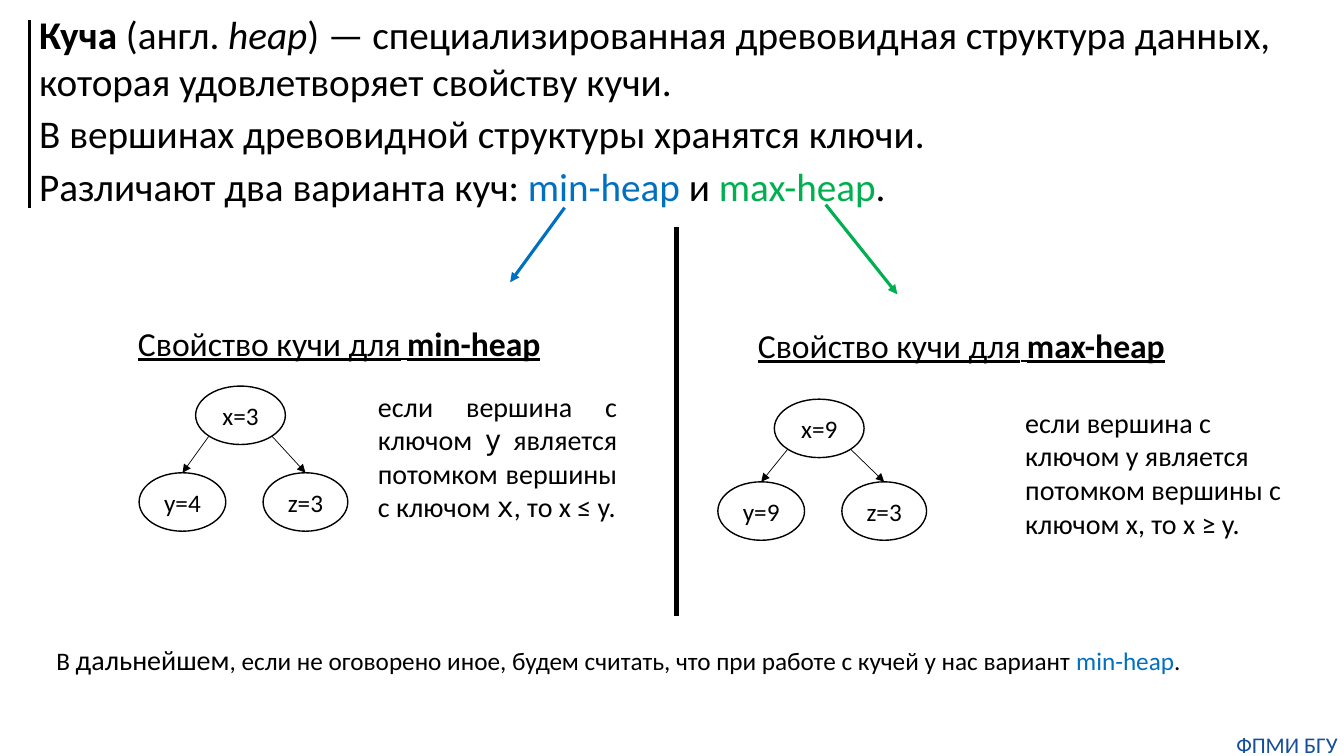
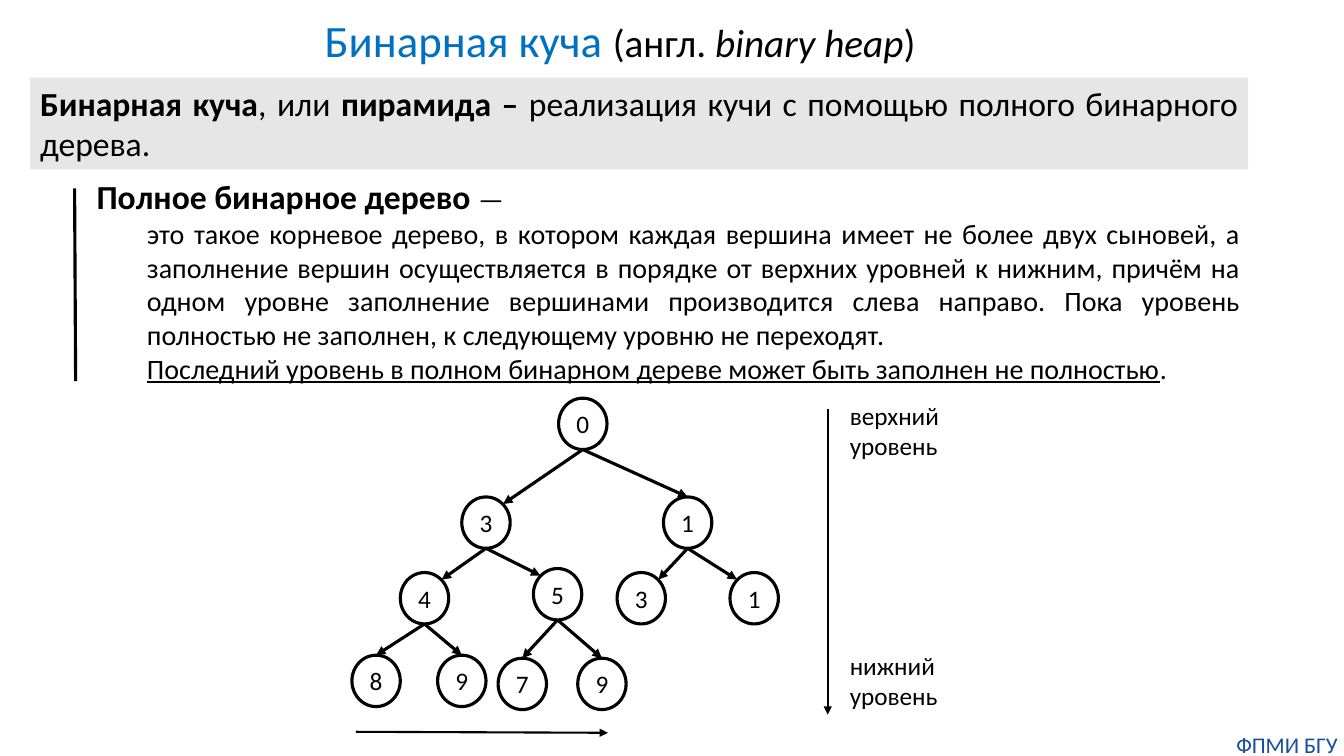
from dataclasses import dataclass
from enum import Enum
from typing import NamedTuple, Optional, Sequence

from lxml import etree
from pptx import Presentation
from pptx.dml.color import RGBColor
from pptx.enum import shapes, text
from pptx.oxml.ns import qn
from pptx.shapes import autoshape, shapetree
from pptx.slide import Slide
from pptx import util as u

PX = 9144  # 100 px to the inch
ALIGN = text.PP_ALIGN
DIAGONAL = 0.3536


@dataclass(frozen=True)
class Theme:
    font: str = "Calibri"
    mono: str = "DejaVu Sans Mono"
    ink: str = "000000"
    blue: str = "0070C0"
    green: str = "00B050"
    footer: str = "144E9D"
    panel: str = "E7E6E6"
    title: int = 32
    lead: int = 28
    heading: int = 24
    body: int = 20
    label: int = 18
    small: int = 16
    hair: float = 0.5
    thin: float = 1
    axis: float = 1.5
    bold: float = 2.25
    divider: float = 3


T = Theme()


class Box(NamedTuple):
    left: int
    top: int
    width: int
    height: int


class Point(NamedTuple):
    x: int
    y: int


class Site(Enum):
    """Attachment points of an ellipse, as offsets from its centre."""
    TOP = (0, -0.5)
    BOTTOM = (0, 0.5)
    TOP_LEFT = (-DIAGONAL, -DIAGONAL)
    TOP_RIGHT = (DIAGONAL, -DIAGONAL)
    BOTTOM_LEFT = (-DIAGONAL, DIAGONAL)
    BOTTOM_RIGHT = (DIAGONAL, DIAGONAL)

    def on(self, box: Box) -> Point:
        dx, dy = self.value
        return Point(round(box.left + box.width * (0.5 + dx)),
                     round(box.top + box.height * (0.5 + dy)))


@dataclass(frozen=True)
class Run:
    text: str
    size: int = T.body
    color: str = T.ink
    bold: bool = False
    italic: bool = False
    underline: bool = False
    font: str = T.font


@dataclass(frozen=True)
class Para:
    runs: Sequence[Run]
    align: text.PP_ALIGN = ALIGN.LEFT
    level: int = 0
    after: int = 0


@dataclass(frozen=True)
class Node:
    label: str
    box: Box
    parent: Optional[int] = None
    start: Site = Site.BOTTOM
    end: Site = Site.TOP


@dataclass(frozen=True)
class HeapPanel:
    heading: Run
    heading_box: Box
    root: Point
    drop: int
    keys: Sequence[str]
    rule: Para
    rule_box: Box


def emu(values: Sequence[int]) -> list[u.Emu]:
    return [u.Emu(v * PX) for v in values]


def rgb(color: str) -> RGBColor:
    return RGBColor.from_string(color)


def write(tf: text.MSO_ANCHOR, paras: Sequence[Para]) -> None:
    """Fill a text frame run by run."""
    for i, para in enumerate(paras):
        p = tf.paragraphs[0] if i == 0 else tf.add_paragraph()
        p.alignment, p.level = para.align, para.level
        p.space_before, p.space_after = u.Pt(0), u.Pt(para.after)
        for run in para.runs:
            r = p.add_run()
            r.text = run.text
            f = r.font
            f.name, f.size, f.color.rgb = run.font, u.Pt(run.size), rgb(run.color)
            f.bold, f.italic, f.underline = run.bold, run.italic, run.underline


def add_text(s: Slide, box: Box, *paras: Para, wrap: bool = True) -> autoshape.Shape:
    sp = s.shapes.add_textbox(*emu(box))
    tf = sp.text_frame
    tf.word_wrap = wrap
    tf.auto_size = text.MSO_AUTO_SIZE.SHAPE_TO_FIT_TEXT
    write(tf, paras)
    return sp


def add_line(parent: shapetree._BaseGroupShapes, start: Point, end: Point, width: float,
             color: str = T.ink, arrow: bool = True) -> None:
    line = parent.add_connector(shapes.MSO_CONNECTOR.STRAIGHT, *emu(start), *emu(end))
    line.line.color.rgb = rgb(color)
    line.line.width = u.Pt(width)
    props = line.element.spPr
    if arrow:
        etree.SubElement(props.find(qn("a:ln")), qn("a:tailEnd"), type="triangle")
    etree.SubElement(props, qn("a:effectLst"))


def add_tree(s: Slide, nodes: Sequence[Node], outline: float, edge: float) -> None:
    group = s.shapes.add_group_shape().shapes
    for node in nodes:
        sp = group.add_shape(shapes.MSO_SHAPE.OVAL, *emu(node.box))
        sp.shadow.inherit = False
        sp.fill.background()
        sp.line.color.rgb = rgb(T.ink)
        sp.line.width = u.Pt(outline)
        tf = sp.text_frame
        tf.margin_left = tf.margin_right = 0
        tf.vertical_anchor = text.MSO_ANCHOR.MIDDLE
        write(tf, [Para([Run(node.label, T.label)], ALIGN.CENTER)])
    for node in nodes:
        if node.parent is not None:
            add_line(group, node.start.on(nodes[node.parent].box),
                     node.end.on(node.box), edge)


def add_master_footer(prs: Presentation, s: Slide) -> None:
    """Build the footer on a slide, then move it to the master for all slides."""
    sp = add_text(s, Box(1220, 725, 113, 27),
                  Para([Run("ФПМИ БГУ", T.small, T.footer)], ALIGN.CENTER))
    tf = sp.text_frame
    tf.margin_left = tf.margin_top = tf.margin_right = tf.margin_bottom = 0
    sp.element.nvSpPr.cNvPr.set("id", "20")
    prs.slide_master.shapes.element.append(sp.element)


def add_heap_panel(s: Slide, panel: HeapPanel) -> None:
    add_text(s, panel.heading_box, Para([
        Run("Cвойство кучи для", T.heading, underline=True),
        Run(" ", underline=True), panel.heading], ALIGN.CENTER))
    x, y = panel.root
    root, left, right = panel.keys
    add_tree(s, [
        Node(root, Box(x, y, 89, 58)),
        Node(left, Box(x - 56, y + panel.drop, 86, 58), 0, Site.BOTTOM_LEFT),
        Node(right, Box(x + 67, y + panel.drop, 84, 58), 0, Site.BOTTOM_RIGHT),
    ], T.thin, T.hair)
    add_text(s, panel.rule_box, panel.rule)


def build_heap_slide(s: Slide) -> None:
    def lead(*runs: Run) -> Para:
        return Para(runs, after=4)

    add_text(
        s, Box(29, 5, 1274, 210),
        lead(Run("Куча", T.lead, bold=True), Run(" (англ. ", T.lead),
             Run("heap", T.lead, italic=True),
             Run(") — специализированная древовидная структура данных, "
                 "которая удовлетворяет свойству кучи.", T.lead)),
        lead(Run("В вершинах древовидной структуры хранятся ключи.", T.lead)),
        lead(Run("Различают два варианта куч: ", T.lead),
             Run("min-heap", T.lead, T.blue), Run(" и ", T.lead),
             Run("max-heap", T.lead, T.green), Run(".", T.lead)))

    min_rule = Para([
        Run("если вершина с ключом "), Run("y", font=T.mono),
        Run(" является потомком вершины с ключом "), Run("x", font=T.mono),
        Run(", то x ≤ y.")], ALIGN.JUSTIFY)
    max_rule = Para([Run("если вершина с ключом y является потомком "
                         "вершины с ключом x, то x ≥ y.")])
    for panel in (
        HeapPanel(Run("min-heap", T.heading, bold=True, underline=True),
                  Box(95, 315, 483, 50), Point(194, 383), 86,
                  ("x=3", "y=4", "z=3"), min_rule, Box(365, 381, 257, 145)),
        HeapPanel(Run("max-heap", T.heading, bold=True, underline=True),
                  Box(712, 317, 483, 50), Point(768, 396), 82,
                  ("x=9", "y=9", "z=3"), max_rule, Box(1007, 397, 296, 145)),
    ):
        add_heap_panel(s, panel)

    add_text(s, Box(46, 632, 1149, 44), Para([
        Run("В ", T.label), Run("дальнейшем"),
        Run(", если не оговорено иное, будем считать, что при работе с кучей "
            "у нас вариант ", T.label),
        Run("min-heap", T.label, T.blue), Run(".", T.label)]), wrap=False)

    add_line(s.shapes, Point(560, 206), Point(506, 280), T.bold, T.blue)
    add_line(s.shapes, Point(819, 203), Point(890, 292), T.bold, T.green)
    add_line(s.shapes, Point(671, 225), Point(671, 611), T.divider, arrow=False)
    add_line(s.shapes, Point(29, 20), Point(29, 206), T.bold, arrow=False)


def build_binary_heap_slide(s: Slide) -> None:
    title = s.shapes.title
    title.left, title.top, title.width, title.height = emu(Box(312, 8, 710, 64))
    tf = title.text_frame
    tf.auto_size = text.MSO_AUTO_SIZE.NONE
    tf.vertical_anchor = text.MSO_ANCHOR.TOP
    write(tf, [Para([Run("Бинарная куча ", T.title, T.blue), Run("(англ. ", T.lead),
                     Run("binary heap", T.lead, italic=True), Run(")", T.lead)])])

    add_text(
        s, Box(36, 170, 1204, 219),
        Para([Run("Полное бинарное дерево ", T.heading, bold=True), Run("—")],
             ALIGN.JUSTIFY, level=1),
        Para([Run("это такое корневое дерево, в котором каждая вершина имеет не более "
                  "двух сыновей, а заполнение вершин осуществляется в порядке от верхних "
                  "уровней к нижним, причём на одном уровне заполнение вершинами "
                  "производится слева направо. Пока уровень полностью не заполнен, "
                  "к следующему уровню не переходят.")], ALIGN.JUSTIFY, level=2),
        Para([Run("Последний уровень в полном бинарном дереве может быть заполнен "
                  "не полностью", underline=True), Run(".")], ALIGN.JUSTIFY, level=2))

    definition = add_text(s, Box(30, 77, 1208, 91), Para([
        Run("Бинарная куча", T.heading, bold=True), Run(", или ", T.heading),
        Run("пирамида – ", T.heading, bold=True),
        Run("реализация кучи с помощью полного бинарного дерева.", T.heading)],
        ALIGN.JUSTIFY))
    definition.fill.solid()
    definition.fill.fore_color.rgb = rgb(T.panel)

    def circle(left: int, top: int) -> Box:
        return Box(left, top, 48, 51)

    add_tree(s, [
        Node("0", circle(554, 395)),
        Node("3", circle(458, 493), 0, end=Site.TOP_RIGHT),
        Node("1", circle(658, 493), 0),
        Node("4", circle(397, 568), 1, end=Site.TOP_RIGHT),
        Node("5", circle(529, 564), 1, end=Site.TOP_LEFT),
        Node("3", circle(612, 568), 2, end=Site.TOP_RIGHT),
        Node("1", circle(724, 568), 2, end=Site.TOP_LEFT),
        Node("8", circle(349, 650), 3),
        Node("9", circle(434, 650), 3),
        Node("7", circle(494, 653), 4),
        Node("9", circle(573, 653), 4),
    ], T.bold, T.bold)

    for label, box in (("верхний уровень", Box(833, 392, 114, 71)),
                       ("нижний уровень", Box(833, 640, 127, 71))):
        add_text(s, box, Para([Run(label, T.label)]))
    add_line(s.shapes, Point(821, 406), Point(821, 709), T.axis)
    add_line(s.shapes, Point(353, 726), Point(603, 727), T.axis)
    add_line(s.shapes, Point(74, 187), Point(75, 378), T.bold, arrow=False)


def main() -> None:
    prs = Presentation()
    prs.slide_width, prs.slide_height = emu((1333, 750))
    title_only, blank = prs.slide_layouts[5], prs.slide_layouts[6]
    heap = prs.slides.add_slide(blank)
    add_master_footer(prs, heap)
    build_heap_slide(heap)
    build_binary_heap_slide(prs.slides.add_slide(title_only))
    prs.save("out.pptx")


if __name__ == "__main__":
    main()
